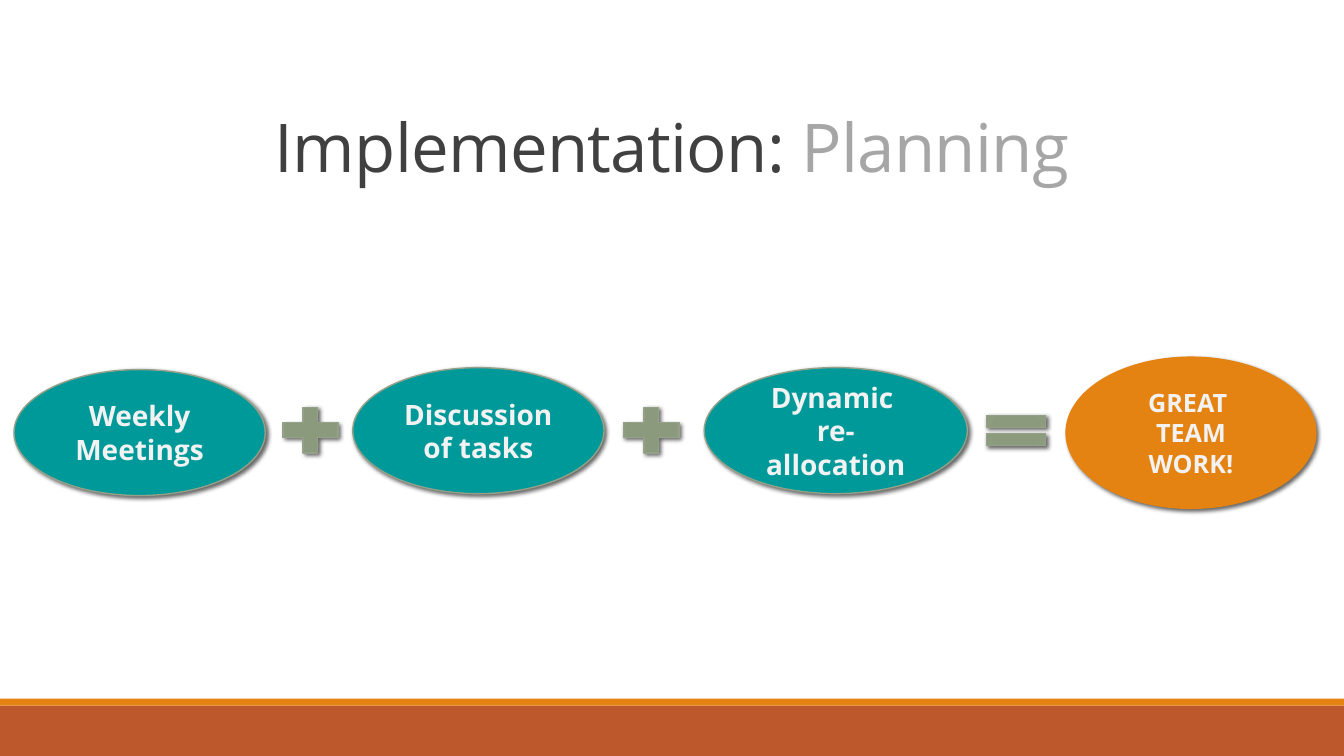
from lxml.etree import SubElement
from pptx import Presentation
from pptx.dml.color import RGBColor
from pptx.enum.shapes import MSO_SHAPE as Kind
from pptx.enum.text import MSO_ANCHOR as Anchor, PP_ALIGN as Align
from pptx.oxml import parse_xml
from pptx.oxml.ns import nsdecls, qn
from pptx.util import Pt

FONT = "Open Sans"
HEX = {
    "teal": "009999", "orange": "E48312", "rust": "BD582C", "sage": "94A088",
    "pale": "F2F2F2", "dark": "404040", "gray": "A6A6A6", "black": "000000",
}
STOPS = [(0, "8A987B"), (34, "8B997D"), (70, "8D9C7E"), (100, "94A187")]


def rgb(name):
    return RGBColor.from_string(HEX[name])


def add_run(para, text, size, color, bold=False):
    run = para.add_run()
    run.text = text
    font = run.font
    font.name, font.size, font.bold = FONT, Pt(size), bold
    font.color.rgb = rgb(color)
    return run


def add_shape(slide, kind, box, fill, line=None):
    shape = slide.shapes.add_shape(kind, *map(Pt, box))
    shape.shadow.inherit = False
    shape.fill.solid()
    shape.fill.fore_color.rgb = rgb(fill)
    if line:
        shape.line.color.rgb = rgb(line)
        shape.line.width = Pt(1)
    else:
        shape.line.fill.background()
    return shape


def add_shade(shape):
    effects = shape.element.spPr.find(qn("a:effectLst"))
    outer = SubElement(effects, qn("a:outerShdw"), blurRad=str(Pt(3)),
                       dist=str(Pt(2)), dir="2700000", algn="tl",
                       rotWithShape="0")
    black = SubElement(outer, qn("a:srgbClr"), val=HEX["black"])
    SubElement(black, qn("a:alpha"), val="60000")


def add_oval(slide, box, lines, size, fill, line=None):
    oval = add_shape(slide, Kind.OVAL, box, fill, line)
    add_shade(oval)
    frame = oval.text_frame
    frame.word_wrap = True
    frame.vertical_anchor = Anchor.MIDDLE
    for i, text in enumerate(lines):
        para = frame.add_paragraph() if i else frame.paragraphs[0]
        para.alignment = Align.CENTER
        add_run(para, text, size, "pale", True)


def add_sign(slide, kind, box):
    sign = add_shape(slide, kind, box, "sage", "sage")
    add_shade(sign)
    stops = "".join(
        f'<a:gs pos="{pos * 1000}"><a:srgbClr val="{color}"/></a:gs>'
        for pos, color in STOPS)
    grad = parse_xml(
        f'<a:gradFill {nsdecls("a")} rotWithShape="1"><a:gsLst>{stops}</a:gsLst>'
        '<a:path path="circle"><a:fillToRect l="100000" t="100000" '
        'r="100000" b="100000"/></a:path></a:gradFill>')
    props = sign.element.spPr
    props.replace(props.find(qn("a:solidFill")), grad)


def add_title(slide, box, parts):
    frame = slide.shapes.add_textbox(*map(Pt, box)).text_frame
    frame.word_wrap = True
    frame.vertical_anchor = Anchor.BOTTOM
    para = frame.paragraphs[0]
    para.alignment = Align.CENTER
    para.line_spacing = 0.85
    for text, color in parts:
        run = add_run(para, text, 48, color)
        run.font._element.set("spc", "-50")


def main():
    deck = Presentation()
    deck.slide_width, deck.slide_height = Pt(960), Pt(540)
    slide = deck.slides.add_slide(deck.slide_layouts[6])
    add_shape(slide, Kind.RECTANGLE, (0, 504, 960, 36), "rust")
    add_shape(slide, Kind.RECTANGLE, (0, 499, 960, 5), "orange")
    add_title(slide, (0, 22.3, 960, 114.5),
              [("Implementation: ", "dark"), ("Planning", "gray")])

    steps = [
        (10, 264, 179.5, ["Weekly Meetings"]),
        (252, 262.6, 179.5, ["Discussion of tasks"]),
        (503, 262.6, 188, ["Dynamic ", "re-allocation"]),
    ]
    for left, top, width, lines in steps:
        add_oval(slide, (left, top, width, 90), lines, 20, "teal", "sage")
    for left in (195, 438.5):
        add_sign(slide, Kind.MATH_PLUS, (left, 285, 53.5, 44.5))
    add_sign(slide, Kind.MATH_EQUAL, (697, 289, 57.5, 37))
    add_oval(slide, (761, 254.6, 179.5, 109), ["GREAT ", "TEAM WORK!"],
             18, "orange")
    deck.save("out.pptx")


if __name__ == "__main__":
    main()
